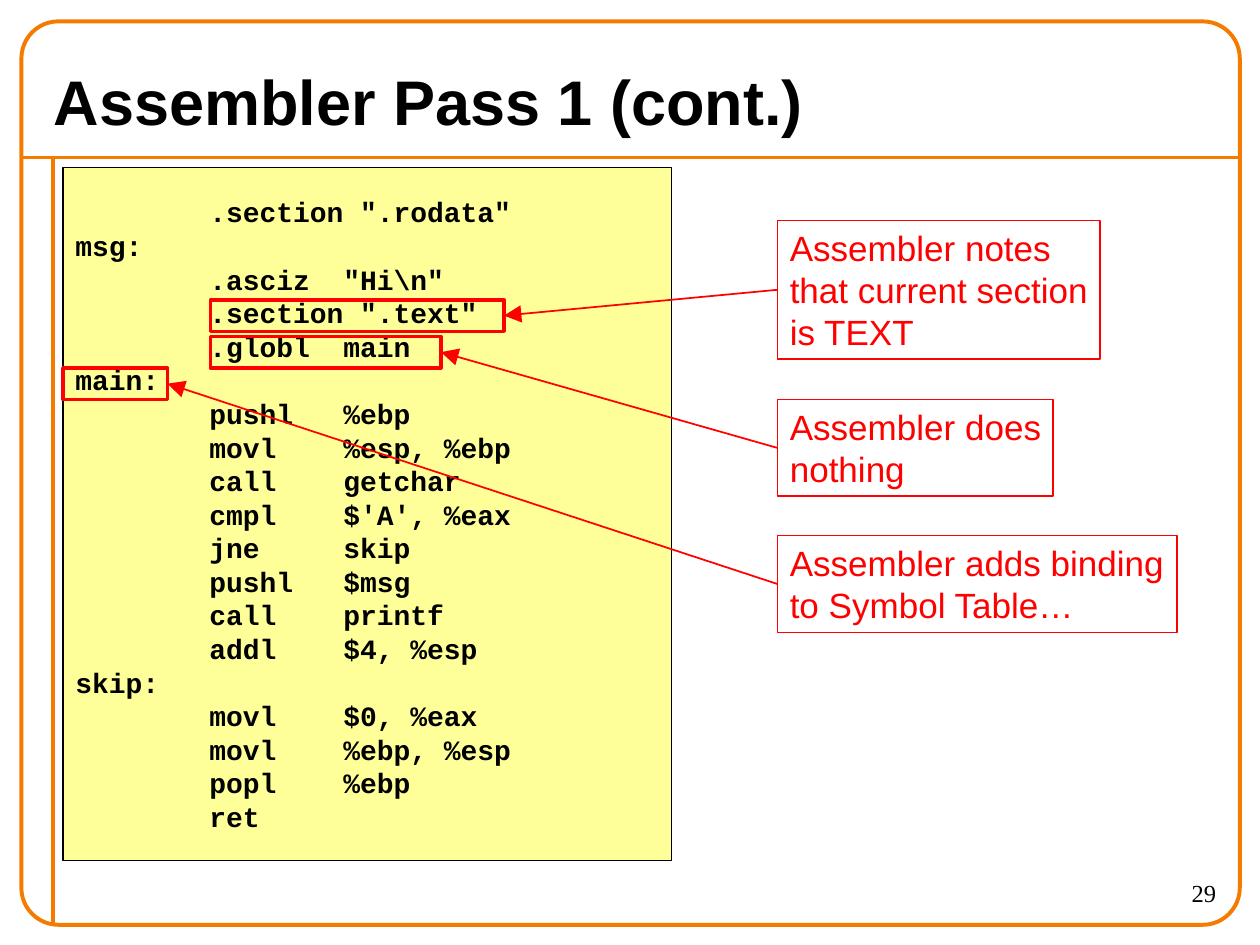
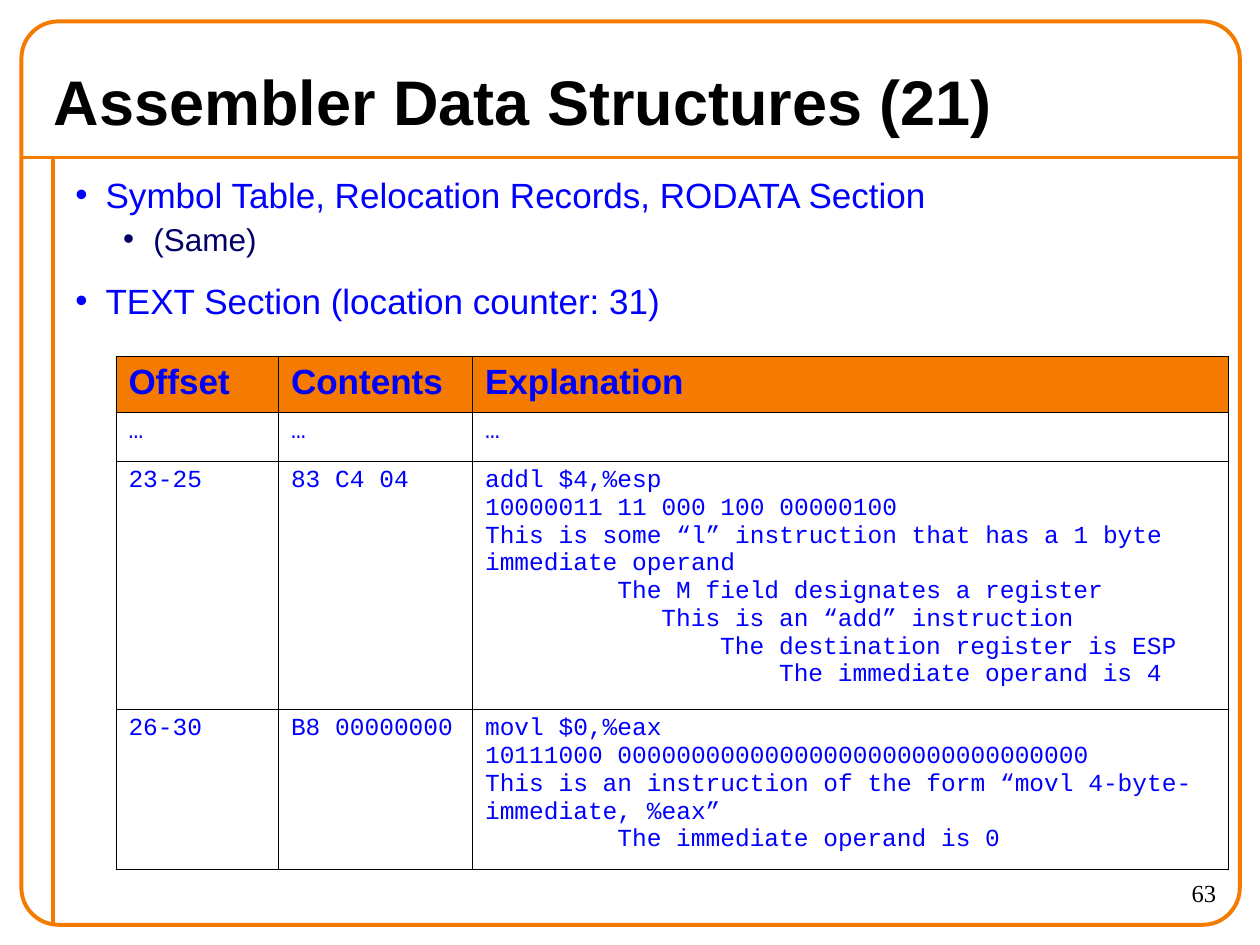
from lxml import etree
from pptx import Presentation
from pptx import util as u
from pptx.dml.color import RGBColor
from pptx.enum import shapes, text
from pptx.oxml.ns import qn

ORANGE = RGBColor(0xF4, 0x7A, 0x00)
YELLOW = RGBColor(0xFF, 0xFF, 0x99)
RED = RGBColor(0xFF, 0x00, 0x00)
BLUE = RGBColor(0x00, 0x00, 0xFF)
NAVY = RGBColor(0x00, 0x00, 0x66)
BLACK = RGBColor(0x00, 0x00, 0x00)

SANS, MONO, SERIF = "Arial", "Courier New", "Times New Roman"
CELL_SIZE = 14
MONO_ADVANCE = 0.6  # character width as a share of the font size

CODE = r"""        .section ".rodata"
msg:
        .asciz  "Hi\n"
        .section ".text"
        .globl  main
main:
        pushl   %ebp
        movl    %esp, %ebp
        call    getchar
        cmpl    $'A', %eax
        jne     skip
        pushl   $msg
        call    printf
        addl    $4, %esp
skip:
        movl    $0, %eax
        movl    %ebp, %esp
        popl    %ebp
        ret"""

# Highlight (left, top, width), note (top, width, height), note lines
CALLOUTS = [
    ((1.67, 2.38, 2.33), (1.75, 2.56, 1.1),
     ["Assembler notes", "that current section", "is TEXT"]),
    ((1.67, 2.67, 1.83), (3.17, 2.19, 0.77), ["Assembler does", "nothing"]),
    ((0.5, 2.92, 0.83), (4.25, 3.17, 0.77),
     ["Assembler adds binding", "to Symbol Table…"]),
]

# Text, level, size, colour, space before
BULLETS = [
    ("Symbol Table, Relocation Records, RODATA Section", 0, 20, BLUE, 0),
    ("(Same)", 1, 18, NAVY, 2.2),
    ("TEXT Section (location counter: 31)", 0, 20, BLUE, 12.5),
]

# Each cell is a list of lines; a pair is (line, columns of indent)
COLUMN_WIDTHS = [1.29, 1.54, 6]
ROW_HEIGHTS = [0.44, 0.39, 1.97, 1.27]
TEXT_SECTION = [
    [["Offset"], ["Contents"], ["Explanation"]],
    [["…"], ["…"], ["…"]],
    [["23-25"], ["83 C4 04"],
     ["addl $4,%esp",
      "10000011 11 000 100 00000100",
      "This is some “l” instruction that has a 1 byte immediate operand",
      ("The M field designates a register", 9),
      ("This is an “add” instruction", 12),
      ("The destination register is ESP", 16),
      ("The immediate operand is 4", 20)]],
    [["26-30"], ["B8 00000000"],
     ["movl $0,%eax",
      "10111000 00000000000000000000000000000000",
      "This is an instruction of the form “movl 4-byte-immediate, %eax”",
      ("The immediate operand is 0", 9)]],
]


def write(para, words, *, size, color, font=SANS, bold=False,
          align=text.PP_ALIGN.LEFT, before=0):
    para.alignment = align
    para.space_before = u.Pt(before)
    span = para.add_run()
    span.text = words
    span.font.size = u.Pt(size)
    span.font.name = font
    span.font.bold = bold
    span.font.color.rgb = color


def next_para(frame, index):
    return frame.add_paragraph() if index else frame.paragraphs[0]


def write_lines(frame, lines, **style):
    for index, line in enumerate(lines):
        write(next_para(frame, index), line, **style)


def indent(para, left, hanging=0):
    props = para._p.get_or_add_pPr()
    props.set("marL", str(u.Inches(left)))
    props.set("indent", str(-u.Inches(hanging)))
    return props


class Painter:
    """Holds the shared style and draws on the current slide."""

    def __init__(self):
        self.deck = Presentation()
        self.deck.slide_width = u.Inches(10)
        self.deck.slide_height = u.Inches(7.5)
        self.page = None

    def start(self, title, number):
        self.page = self.deck.slides.add_slide(self.deck.slide_layouts[6])
        # Frame and rules
        self.line((0.17, 1.25), (9.83, 1.25), ORANGE, 2.25)
        self.line((0.42, 1.25), (0.42, 7.33), ORANGE, 2.25)
        frame = self.shape(0.17, 0.17, 9.67, 7.17, ORANGE, 2.25,
                           kind=shapes.MSO_SHAPE.ROUNDED_RECTANGLE)
        frame.adjustments[0] = 0.041
        # Page number and title
        footer = self.box(8.75, 6.92, 1, 0.42)
        write_lines(footer, [number], size=14, color=BLACK, font=SERIF,
                    align=text.PP_ALIGN.RIGHT)
        heading = self.box(0.33, 0.42, 9.33, 0.75)
        heading.vertical_anchor = text.MSO_ANCHOR.MIDDLE
        write_lines(heading, [title], size=36, color=BLACK, bold=True)

    def box(self, left, top, width, height):
        frame = self.page.shapes.add_textbox(
            *map(u.Inches, (left, top, width, height))).text_frame
        frame.word_wrap = True
        return frame

    def shape(self, left, top, width, height, color, weight, fill=None,
              kind=shapes.MSO_SHAPE.RECTANGLE):
        shape = self.page.shapes.add_shape(
            kind, *map(u.Inches, (left, top, width, height)))
        shape.shadow.inherit = False
        shape.line.color.rgb = color
        shape.line.width = u.Pt(weight)
        if fill is None:
            shape.fill.background()
        else:
            shape.fill.solid()
            shape.fill.fore_color.rgb = fill
        return shape

    def line(self, start, end, color, weight):
        line = self.page.shapes.add_connector(
            shapes.MSO_CONNECTOR.STRAIGHT, *map(u.Inches, (*start, *end)))
        line.line.color.rgb = color
        line.line.width = u.Pt(weight)
        etree.SubElement(line._element.spPr, qn("a:effectLst"))
        return line

    def arrow(self, source, target):
        """Arrow from the left side of source to the right side of target."""
        arrow = self.line((0, 0), (1, 1), RED, 1)
        arrow.begin_connect(source, 1)
        arrow.end_connect(target, 3)
        etree.SubElement(arrow.line._get_or_add_ln(), qn("a:tailEnd"),
                         type="triangle", w="lg", len="lg")

    def code(self, listing, *place):
        frame = self.shape(*place, BLACK, 1, fill=YELLOW).text_frame
        frame.word_wrap = True
        frame.vertical_anchor = text.MSO_ANCHOR.MIDDLE
        write_lines(frame, listing.split("\n"), size=16, color=BLACK,
                    font=MONO, bold=True)

    def callout(self, highlight, note, lines):
        target = self.shape(*highlight, 0.25, RED, 2)
        source = self.shape(6.17, *note, RED, 1)
        frame = source.text_frame
        frame.word_wrap = False
        frame.vertical_anchor = text.MSO_ANCHOR.TOP
        write_lines(frame, lines, size=20, color=RED)
        self.arrow(source, target)

    def bullets(self, items, *place):
        frame = self.box(*place)
        for index, (words, level, size, color, before) in enumerate(items):
            para = next_para(frame, index)
            para.level = level
            props = indent(para, 0.24 + 0.38 * level, 0.24)
            tint = etree.SubElement(props, qn("a:buClr"))
            etree.SubElement(tint, qn("a:srgbClr"), val=str(color))
            etree.SubElement(props, qn("a:buFont"), typeface=SANS)
            etree.SubElement(props, qn("a:buChar"), char="•")
            write(para, words, size=size, color=color, before=before)

    def table(self, rows, left, top, widths, heights):
        table = self.page.shapes.add_table(
            len(rows), len(widths),
            *map(u.Inches, (left, top, sum(widths), sum(heights)))).table
        table.horz_banding = False
        for column, width in zip(table.columns, widths):
            column.width = u.Inches(width)
        for row, height in zip(table.rows, heights):
            row.height = u.Inches(height)
        for r, row in enumerate(rows):
            for c, lines in enumerate(row):
                cell = table.cell(r, c)
                self.borders(cell, top_weight=0.45 if r else 1.08)
                self.fill_cell(cell, lines, header=r == 0)

    def borders(self, cell, top_weight):
        props = cell._tc.get_or_add_tcPr()
        for side in "LRTB":
            weight = u.Pt(top_weight if side == "T" else 0.45)
            edge = etree.SubElement(props, qn(f"a:ln{side}"), w=str(weight))
            paint = etree.SubElement(edge, qn("a:solidFill"))
            etree.SubElement(paint, qn("a:srgbClr"), val=str(BLACK))

    def fill_cell(self, cell, lines, header):
        if header:
            cell.fill.solid()
            cell.fill.fore_color.rgb = ORANGE
            write_lines(cell.text_frame, lines, size=20, color=BLUE, bold=True)
            return
        cell.fill.background()
        for index, line in enumerate(lines):
            words, columns = (line, 0) if isinstance(line, str) else line
            para = next_para(cell.text_frame, index)
            indent(para, columns * CELL_SIZE * MONO_ADVANCE / 72)
            write(para, words, size=CELL_SIZE, color=BLUE, font=MONO)


def main():
    painter = Painter()

    # Assembly listing with callouts
    painter.start("Assembler Pass 1 (cont.)", "29")
    painter.code(CODE, 0.5, 1.33, 4.83, 5.5)
    for highlight, note, lines in CALLOUTS:
        painter.callout(highlight, note, lines)

    # TEXT section table
    painter.start("Assembler Data Structures (21)", "63")
    painter.bullets(BULLETS, 0.5, 1.33, 9.17, 6)
    painter.table(TEXT_SECTION, 0.92, 2.83, COLUMN_WIDTHS, ROW_HEIGHTS)

    painter.deck.save("out.pptx")


if __name__ == "__main__":
    main()
